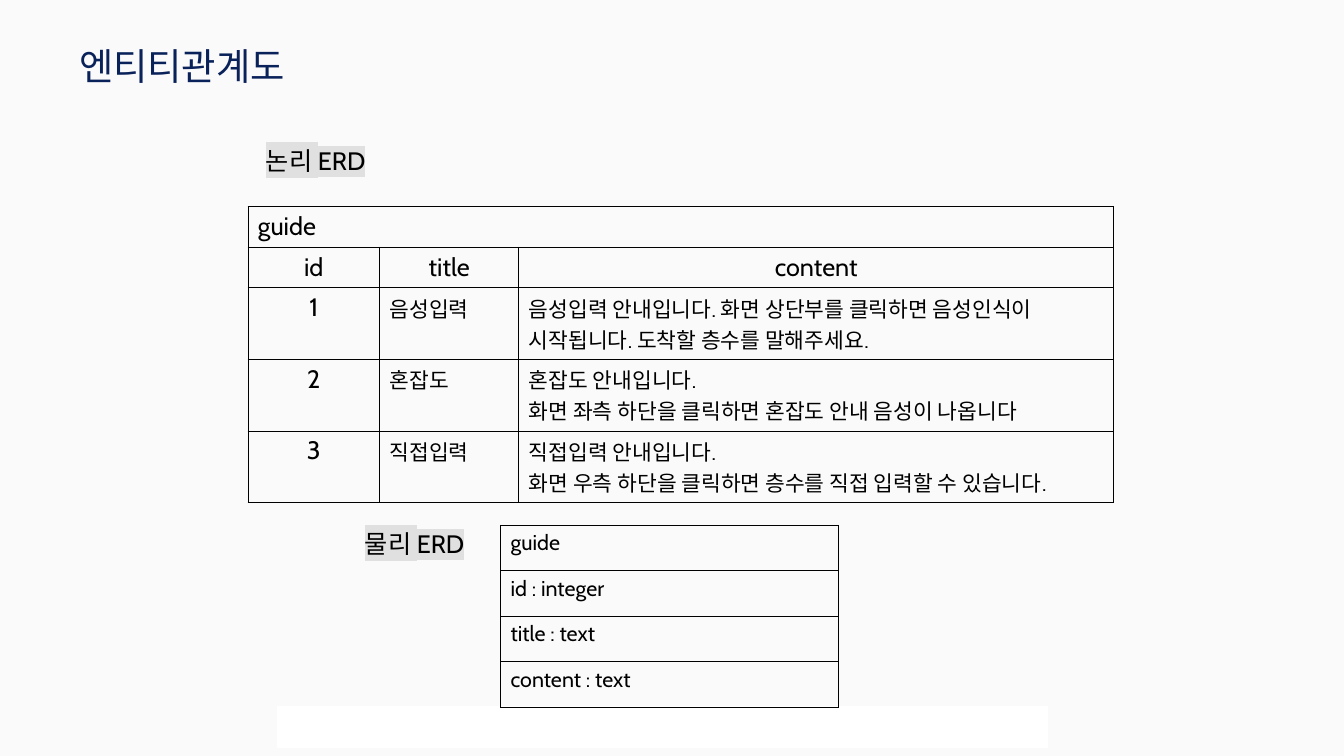
from lxml.etree import SubElement
from pptx import Presentation
from pptx.dml.color import RGBColor
from pptx.enum.shapes import MSO_SHAPE
from pptx.enum.text import MSO_AUTO_SIZE, PP_ALIGN
from pptx.oxml.ns import qn
from pptx.util import Cm, Pt

FONT = "Cabin"
BLACK, NAVY, WHITE = "000000", "0A225A", "FFFFFF"
BACKGROUND, HIGHLIGHT = "FAFAFA", "E0E0E0"
INNER_ALPHA, OUTER_ALPHA = 100, 25

GUIDE_ROWS = [
    ["guide"],
    ["id", "title", "content"],
    ["1", "음성입력",
     "음성입력 안내입니다. 화면 상단부를 클릭하면 음성인식이 시작됩니다. 도착할 층수를 말해주세요."],
    ["2", "혼잡도",
     "혼잡도 안내입니다.\n화면 좌측 하단을 클릭하면 혼잡도 안내 음성이 나옵니다"],
    ["3", "직접입력",
     "직접입력 안내입니다.\n화면 우측 하단을 클릭하면 층수를 직접 입력할 수 있습니다."],
]
SCHEMA_ROWS = [["guide"], ["id : integer"], ["title : text"], ["content : text"]]


def color(hex_code):
    return RGBColor.from_string(hex_code)


def write(frame, text, size=23, ink=BLACK, align=PP_ALIGN.LEFT, highlight=None):
    for index, line in enumerate(text.split("\n")):
        paragraph = frame.add_paragraph() if index else frame.paragraphs[0]
        paragraph.alignment = align
        run = paragraph.add_run()
        run.text = line
        run.font.size = Pt(size)
        run.font.color.rgb = color(ink)
        if highlight:
            marker = SubElement(run.font._element, qn("a:highlight"))
            SubElement(marker, qn("a:srgbClr"), val=highlight)
        run.font.name = FONT


def add_label(slide, text, left, top, width, height, **style):
    frame = slide.shapes.add_textbox(Cm(left), Cm(top), Cm(width), Cm(height)).text_frame
    frame.word_wrap = True
    frame.auto_size = MSO_AUTO_SIZE.SHAPE_TO_FIT_TEXT
    write(frame, text, **style)


def add_footer_band(slide, left, top, width, height):
    band = slide.shapes.add_shape(
        MSO_SHAPE.RECTANGLE, Cm(left), Cm(top), Cm(width), Cm(height))
    band.shadow.inherit = False
    band.fill.solid()
    band.fill.fore_color.rgb = color(WHITE)
    band.line.color.rgb = color(WHITE)
    band.line.width = Pt(0.75)


def set_borders(cell, outer_sides):
    properties = cell._tc.get_or_add_tcPr()
    for side in "LRTB":
        alpha = OUTER_ALPHA if side in outer_sides else INNER_ALPHA
        border = SubElement(properties, qn(f"a:ln{side}"), w=str(Pt(1)))
        fill = SubElement(border, qn("a:solidFill"))
        ink = SubElement(fill, qn("a:srgbClr"), val=BLACK)
        if alpha < 100:
            SubElement(ink, qn("a:alpha"), val=str(alpha * 1000))


def add_grid(slide, rows, left, top, widths, heights, cell_style):
    """Draw a table; cell_style(row, column) gives the text format."""
    table = slide.shapes.add_table(
        len(heights), len(widths), Cm(left), Cm(top),
        Cm(sum(widths)), Cm(sum(heights))).table
    table.first_row = table.horz_banding = False
    for column, width in zip(table.columns, widths):
        column.width = Cm(width)
    last_row, last_column = len(heights) - 1, len(widths) - 1
    for r, height in enumerate(heights):
        table.rows[r].height = Cm(height)
        for c in range(len(widths)):
            cell = table.cell(r, c)
            cell.margin_left = cell.margin_right = Cm(0.38)
            cell.margin_top = cell.margin_bottom = Cm(0.18)
            edges = {"L": c == 0, "R": c == last_column,
                     "T": r == 0, "B": r == last_row}
            set_borders(cell, [side for side, outer in edges.items() if outer])
            cell.fill.background()
            if c < len(rows[r]):
                write(cell.text_frame, rows[r][c], **cell_style(r, c))
    return table


def guide_style(row, column):
    if row == 0:
        return {"size": 27}
    if row == 1 or column == 0:
        return {"size": 27, "align": PP_ALIGN.CENTER}
    return {"size": 23}


def schema_style(row, column):
    return {"size": 23}


def main():
    deck = Presentation()
    deck.slide_width, deck.slide_height = Cm(50.8), Cm(28.58)
    slide = deck.slides.add_slide(deck.slide_layouts[6])
    slide.background.fill.solid()
    slide.background.fill.fore_color.rgb = color(BACKGROUND)

    add_footer_band(slide, 10.49, 26.72, 29.11, 1.55)

    # Logical model: sample rows of the guide entity
    guide = add_grid(slide, GUIDE_ROWS, 9.37, 7.82, [4.98, 5.26, 22.48],
                     [1.52] * 2 + [2.29] * 3, guide_style)
    guide.cell(0, 0).merge(guide.cell(0, 2))

    # Physical model: columns and their types
    add_grid(slide, SCHEMA_ROWS, 18.92, 19.86, [12.78], [1.72] * 4, schema_style)

    # Headings
    add_label(slide, "논리 ERD", 9.8, 5.38, 5.56, 1.42, size=27, highlight=HIGHLIGHT)
    add_label(slide, "물리 ERD", 13.54, 19.86, 4.95, 1.42, size=27, highlight=HIGHLIGHT)
    add_label(slide, "엔티티관계도", 2.74, 1.52, 16.05, 1.96, size=40, ink=NAVY)

    deck.save("out.pptx")


if __name__ == "__main__":
    main()
